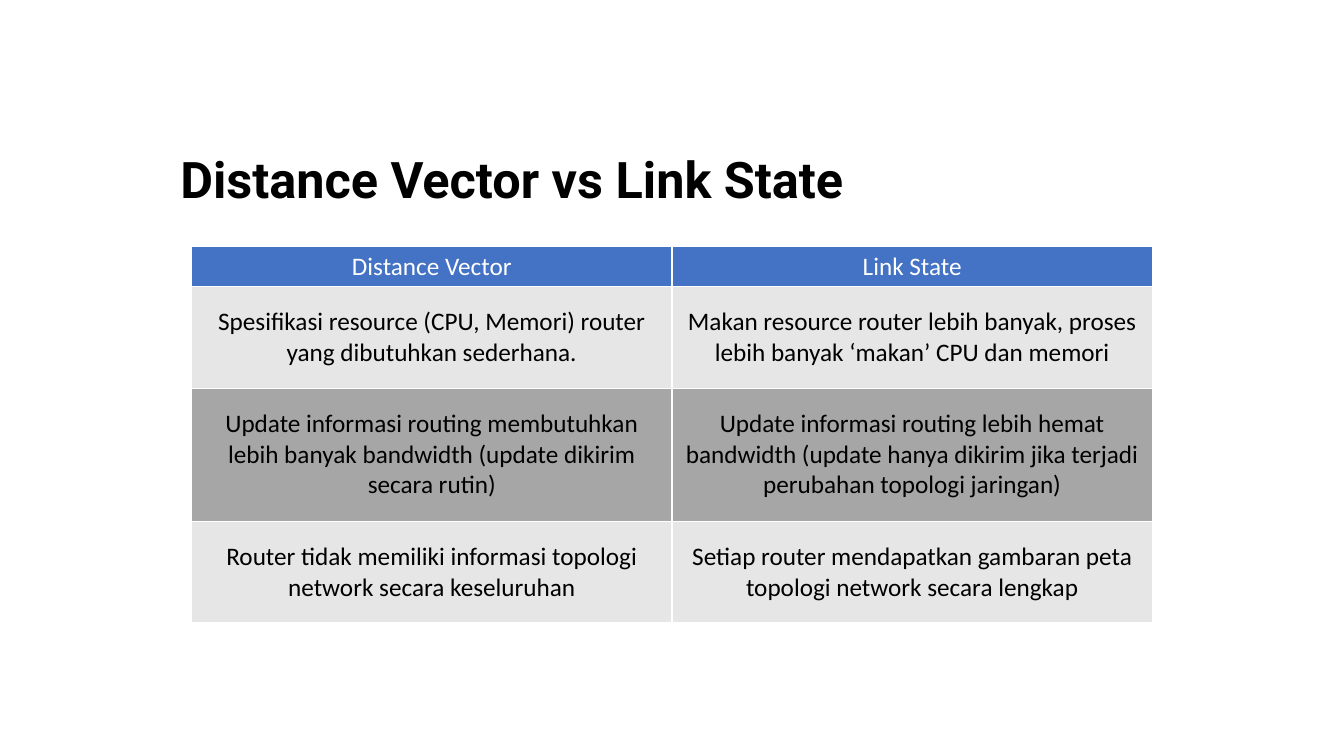
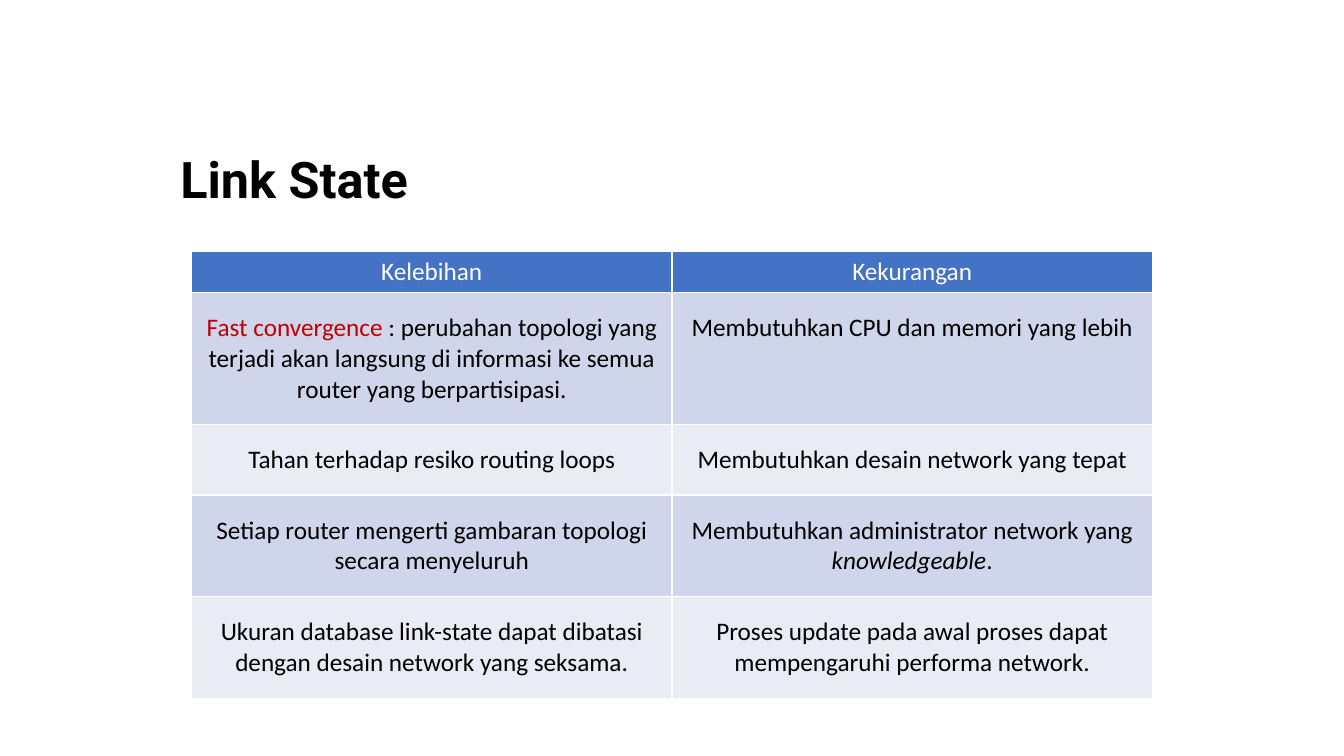
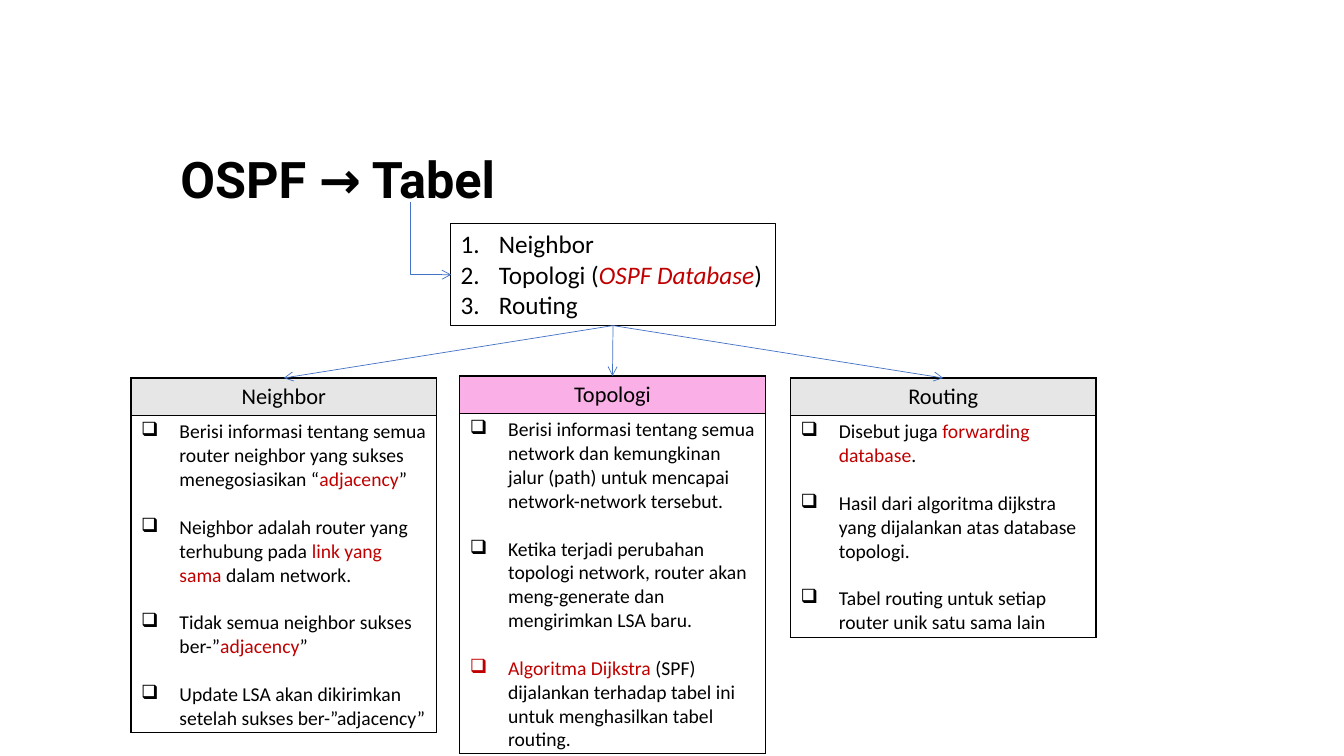
from dataclasses import dataclass
from lxml.etree import SubElement
from pptx import Presentation
from pptx.dml.color import RGBColor
from pptx.enum.shapes import MSO_CONNECTOR, MSO_SHAPE
from pptx.enum.text import MSO_ANCHOR, MSO_AUTO_SIZE, PP_ALIGN
from pptx.oxml.ns import qn
from pptx.util import Inches, Pt


@dataclass(frozen=True)
class Theme:
    title_font: str = "Roboto"
    body_font: str = "Calibri"
    black: str = "000000"
    white: str = "FFFFFF"
    blue: str = "4472C4"
    red: str = "C00000"
    pink: str = "FAAFE7"
    light_grey: str = "E7E6E6"
    dark_grey: str = "A6A6A6"
    blue_tint: str = "CFD5EA"
    pale_tint: str = "E9EBF5"
    title_size: int = 36
    text_size: int = 18
    heading_size: int = 16
    list_size: int = 14
    list_gap: int = 17
    border: int = 1


theme = Theme()


def write_spans(para, spans, size, colour=theme.black, bullet=None):
    if bullet:
        properties = para._p.get_or_add_pPr()
        properties.set("marL", str(Inches(0.38)))
        properties.set("indent", str(-Inches(0.38)))
        tag, key, value = bullet
        SubElement(properties, qn(tag)).set(key, value)
    for text, style in [(spans, "")] if isinstance(spans, str) else spans:
        span = para.add_run()
        span.text = text
        span.font.name = theme.body_font
        span.font.size = Pt(size)
        span.font.bold = False
        span.font.italic = "italic" in style
        span.font.color.rgb = RGBColor.from_string(theme.red if "red" in style else colour)


def style_cell(cell, fill, border):
    properties = cell._tc.get_or_add_tcPr()
    for side in ("a:lnL", "a:lnR", "a:lnT", "a:lnB"):
        line = SubElement(properties, qn(side), w=str(Pt(theme.border)))
        SubElement(SubElement(line, qn("a:solidFill")), qn("a:srgbClr"), val=border)
    if fill:
        cell.fill.solid()
        cell.fill.fore_color.rgb = RGBColor.from_string(fill)
    else:
        cell.fill.background()


deck = Presentation()
deck.slide_width = Inches(13.33)
deck.slide_height = Inches(7.5)

pages = []
for title in ("Distance Vector vs Link State", "Link State", "OSPF → Tabel"):
    page = deck.slides.add_slide(deck.slide_layouts[6])
    box = page.shapes.add_textbox(Inches(1.69), Inches(1.36), Inches(10.66), Inches(0.89))
    box.text_frame.word_wrap = True
    box.text_frame.vertical_anchor = MSO_ANCHOR.MIDDLE
    box.text_frame.text = title
    para = box.text_frame.paragraphs[0]
    para.line_spacing = 0.9
    para.font.name = theme.title_font
    para.font.size = Pt(theme.title_size)
    para.font.bold = True
    para.font.color.rgb = RGBColor.from_string(theme.black)
    pages.append(page)

comparison_rows = [
    ("Distance Vector", "Link State"),
    (
        "Spesifikasi resource (CPU, Memori) router yang dibutuhkan sederhana.",
        "Makan resource router lebih banyak, proses lebih banyak ‘makan’ CPU dan memori",
    ),
    (
        "Update informasi routing membutuhkan lebih banyak bandwidth (update dikirim secara rutin)",
        "Update informasi routing lebih hemat bandwidth (update hanya dikirim jika terjadi perubahan topologi jaringan)",
    ),
    (
        "Router tidak memiliki informasi topologi network secara keseluruhan",
        "Setiap router mendapatkan gambaran peta topologi network secara lengkap",
    ),
]
link_state_rows = [
    ("Kelebihan", "Kekurangan"),
    (
        [
            ("Fast convergence ", "red"),
            (": perubahan topologi yang terjadi akan langsung di informasi ke semua router yang berpartisipasi.", ""),
        ],
        "Membutuhkan CPU dan memori yang lebih",
    ),
    ("Tahan terhadap resiko routing loops", "Membutuhkan desain network yang tepat"),
    (
        "Setiap router mengerti gambaran topologi secara menyeluruh",
        [("Membutuhkan administrator network yang ", ""), ("knowledgeable", "italic"), (".", "")],
    ),
    (
        "Ukuran database link-state dapat dibatasi dengan desain network yang seksama.",
        "Proses update pada awal proses dapat mempengaruhi performa network.",
    ),
]
two_column_tables = [
    (pages[0], 2.44, comparison_rows, (0.4, 1.01, 1.32, 1.01), (theme.light_grey, theme.dark_grey)),
    (pages[1], 2.49, link_state_rows, (0.41, 1.31, 0.7, 1.01, 1.01), (theme.blue_tint, theme.pale_tint)),
]
for page, top, rows, heights, bands in two_column_tables:
    table = page.shapes.add_table(
        len(rows), 2, Inches(1.9), Inches(top), Inches(9.53), Inches(sum(heights))
    ).table
    table.horz_banding = False
    for row_index, (row, height) in enumerate(zip(rows, heights)):
        table.rows[row_index].height = Inches(height)
        for column_index, spans in enumerate(row):
            cell = table.cell(row_index, column_index)
            is_header = row_index == 0
            style_cell(cell, theme.blue if is_header else bands[(row_index - 1) % 2], theme.white)
            if not is_header:
                cell.margin_top = cell.margin_bottom = Inches(0.2)
            para = cell.text_frame.paragraphs[0]
            para.alignment = PP_ALIGN.CENTER
            write_spans(para, spans, theme.text_size, theme.white if is_header else theme.black)

page = pages[2]
overview = page.shapes.add_shape(
    MSO_SHAPE.RECTANGLE, Inches(4.47), Inches(2.22), Inches(3.22), Inches(1.01)
)
overview.shadow.inherit = False
overview.fill.background()
overview.line.color.rgb = RGBColor.from_string(theme.black)
overview.line.width = Pt(theme.border)
frame = overview.text_frame
frame.word_wrap = False
frame.auto_size = MSO_AUTO_SIZE.SHAPE_TO_FIT_TEXT
frame.vertical_anchor = MSO_ANCHOR.TOP
overview_items = [
    "Neighbor",
    [("Topologi (", ""), ("OSPF Database", "red italic"), (")", "")],
    "Routing",
]
for index, spans in enumerate(overview_items):
    para = frame.add_paragraph() if index else frame.paragraphs[0]
    para.alignment = PP_ALIGN.LEFT
    write_spans(para, spans, theme.text_size, bullet=("a:buAutoNum", "type", "arabicPeriod"))

neighbor_items = [
    [
        ("Berisi informasi tentang semua router neighbor yang sukses menegosiasikan “", ""),
        ("adjacency", "red"),
        ("”", ""),
    ],
    [
        ("Neighbor adalah router yang terhubung pada ", ""),
        ("link yang sama ", "red"),
        ("dalam network.", ""),
    ],
    [("Tidak semua neighbor sukses ber-”", ""), ("adjacency", "red"), ("”", "")],
    "Update LSA akan dikirimkan setelah sukses ber-”adjacency”",
]
topology_items = [
    "Berisi informasi tentang semua network dan kemungkinan jalur (path) untuk mencapai network-network tersebut.",
    "Ketika terjadi perubahan topologi network, router akan meng-generate dan mengirimkan LSA baru.",
    [
        ("Algoritma Dijkstra ", "red"),
        ("(SPF) dijalankan terhadap tabel ini untuk menghasilkan tabel routing.", ""),
    ],
]
routing_items = [
    [("Disebut juga ", ""), ("forwarding database", "red"), (".", "")],
    "Hasil dari algoritma dijkstra yang dijalankan atas database topologi.",
    "Tabel routing untuk setiap router unik satu sama lain",
]
cards = [
    ("Neighbor", 1.3, 3.75, 3.5, theme.light_grey, neighbor_items),
    ("Topologi", 4.56, 3.73, 3.73, theme.pink, topology_items),
    ("Routing", 7.84, 3.75, 2.57, theme.light_grey, routing_items),
]
card_width = 3.03
heading_height = 0.37
arrows = []
for heading, left, top, height, fill, items in cards:
    table = page.shapes.add_table(
        2, 1, Inches(left), Inches(top), Inches(card_width), Inches(height)
    ).table
    table.horz_banding = False
    table.rows[0].height = Inches(heading_height)
    table.rows[1].height = Inches(height - heading_height)
    heading_cell, list_cell = table.cell(0, 0), table.cell(1, 0)
    style_cell(heading_cell, fill, theme.black)
    style_cell(list_cell, None, theme.black)
    para = heading_cell.text_frame.paragraphs[0]
    para.alignment = PP_ALIGN.CENTER
    write_spans(para, heading, theme.heading_size)
    frame = list_cell.text_frame
    for index, spans in enumerate(items):
        para = frame.add_paragraph() if index else frame.paragraphs[0]
        write_spans(para, spans, theme.list_size, bullet=("a:buChar", "char", "❑"))
        if index:
            para.space_before = Pt(theme.list_gap)
    arrows.append(page.shapes.add_connector(
        MSO_CONNECTOR.STRAIGHT,
        Inches(6.08), Inches(3.23), Inches(left + card_width / 2), Inches(top),
    ))

elbow = page.shapes.add_connector(
    MSO_CONNECTOR.ELBOW, Inches(4.63), Inches(2.16), Inches(3.91), Inches(2.57)
)
elbow_properties = elbow._element.spPr
elbow_properties.find(qn("a:prstGeom")).set("prst", "bentConnector2")
elbow_properties.find(qn("a:xfrm")).set("rot", str(270 * 60000))
arrows.append(elbow)

for arrow in arrows:
    arrow.line.color.rgb = RGBColor.from_string(theme.blue)
    arrow.line.width = Pt(0.5)
    SubElement(arrow.line._get_or_add_ln(), qn("a:tailEnd"), type="arrow")
    SubElement(arrow._element.spPr, qn("a:effectLst"))

deck.save("out.pptx")
